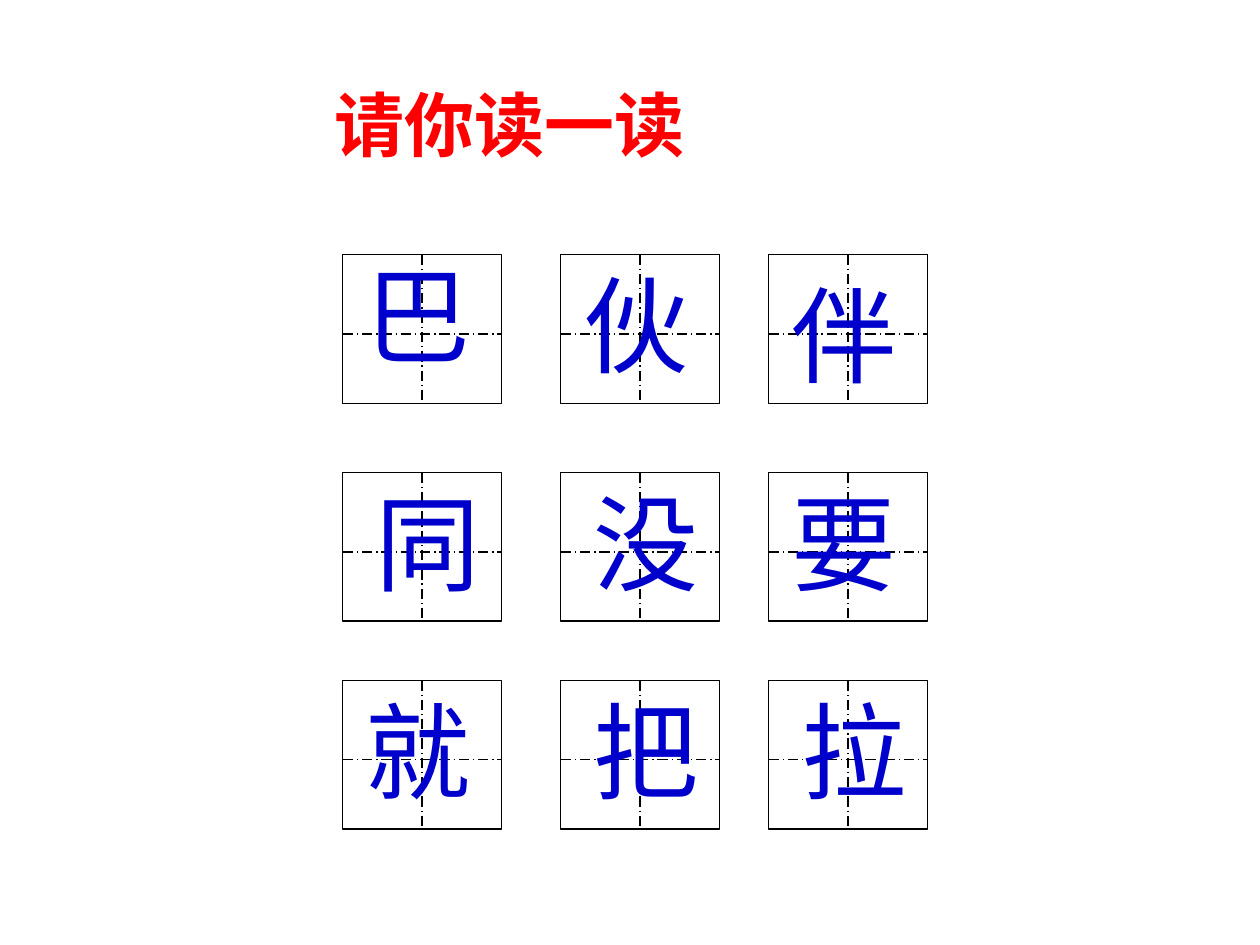
from dataclasses import dataclass

from lxml import etree
from pptx import Presentation
from pptx.dml.color import RGBColor
from pptx.enum.dml import MSO_LINE
from pptx.enum.shapes import MSO_CONNECTOR, MSO_SHAPE
from pptx.enum.text import MSO_AUTO_SIZE
from pptx.oxml.ns import qn
from pptx.util import Inches, Pt

RECTANGLE = MSO_SHAPE.RECTANGLE
STRAIGHT = MSO_CONNECTOR.STRAIGHT
GUIDE_DASH = MSO_LINE.LONG_DASH_DOT
GROW = MSO_AUTO_SIZE.SHAPE_TO_FIT_TEXT


@dataclass(frozen=True)
class Theme:
    font: str = "Times New Roman"
    paper: RGBColor = RGBColor(0xFF, 0xFF, 0xFF)
    ink: RGBColor = RGBColor(0x00, 0x00, 0x00)
    title: RGBColor = RGBColor(0xFF, 0x00, 0x00)
    character: RGBColor = RGBColor(0x00, 0x00, 0xCC)
    title_size: int = 40
    character_size: int = 60
    line_width: float = 0.75


THEME = Theme()

GRID_LEFT, GRID_TOP = 2.72, 2.02
TRACKS = (0, 1.73, 3.38)
CELL_WIDTH, CELL_HEIGHT = 1.26, 1.18
GUIDE_OFFSET = CELL_WIDTH / 2
NUDGE = 0.08
BOX_WIDTH, BOX_HEIGHT = 1.02, 1.1

# Each entry: character, steps right, steps down, box width
CHARACTERS = (
    (("巴", 1, -1, 1.65), ("伙", 1, 0, 0.87), ("伴", 1, 1, BOX_WIDTH)),
    (("同", 2, 0, 0.97), ("没", 2, 0, BOX_WIDTH), ("要", 1, 0, BOX_WIDTH)),
    (("就", 1, 0, BOX_WIDTH), ("把", 2, 0, BOX_WIDTH), ("拉", 2, 0, BOX_WIDTH)),
)


def style_line(line):
    line.color.rgb = THEME.ink
    line.width = Pt(THEME.line_width)


def add_guide(page, start, end):
    points = [Inches(value) for value in (*start, *end)]
    guide = page.shapes.add_connector(STRAIGHT, *points)
    style_line(guide.line)
    guide.line.dash_style = GUIDE_DASH
    etree.SubElement(guide._element.spPr, qn("a:effectLst"))


def add_practice_cell(page, left, top):
    bounds = [Inches(value) for value in (left, top, CELL_WIDTH, CELL_HEIGHT)]
    cell = page.shapes.add_shape(RECTANGLE, *bounds)
    cell.shadow.inherit = False
    cell.fill.solid()
    cell.fill.fore_color.rgb = THEME.paper
    style_line(cell.line)
    middle_x, middle_y = left + GUIDE_OFFSET, top + GUIDE_OFFSET
    add_guide(page, (left, middle_y), (left + CELL_WIDTH, middle_y))
    add_guide(page, (middle_x, top), (middle_x, top + CELL_HEIGHT))


def add_text(page, text, bounds, size, color, bold=False):
    box = page.shapes.add_textbox(*[Inches(value) for value in bounds])
    frame = box.text_frame
    frame.word_wrap = True
    frame.auto_size = GROW
    frame.text = text
    font = frame.paragraphs[0].runs[0].font
    font.name = THEME.font
    font.size = Pt(size)
    font.bold = bold
    font.color.rgb = color


def add_character_grid(page):
    for row_offset, row in zip(TRACKS, CHARACTERS):
        for column_offset, (character, right, down, width) in zip(TRACKS, row):
            left, top = GRID_LEFT + column_offset, GRID_TOP + row_offset
            add_practice_cell(page, left, top)
            bounds = (left + right * NUDGE, top + down * NUDGE, width, BOX_HEIGHT)
            add_text(page, character, bounds, THEME.character_size, THEME.character)


def main():
    deck = Presentation()
    deck.slide_width, deck.slide_height = Inches(10), Inches(7.5)
    page = deck.slides.add_slide(deck.slide_layouts[6])
    add_character_grid(page)
    add_text(page, "请你读一读", (2.56, 0.6, 3.78, 0.77),
             THEME.title_size, THEME.title, bold=True)
    deck.save("out.pptx")


if __name__ == "__main__":
    main()
